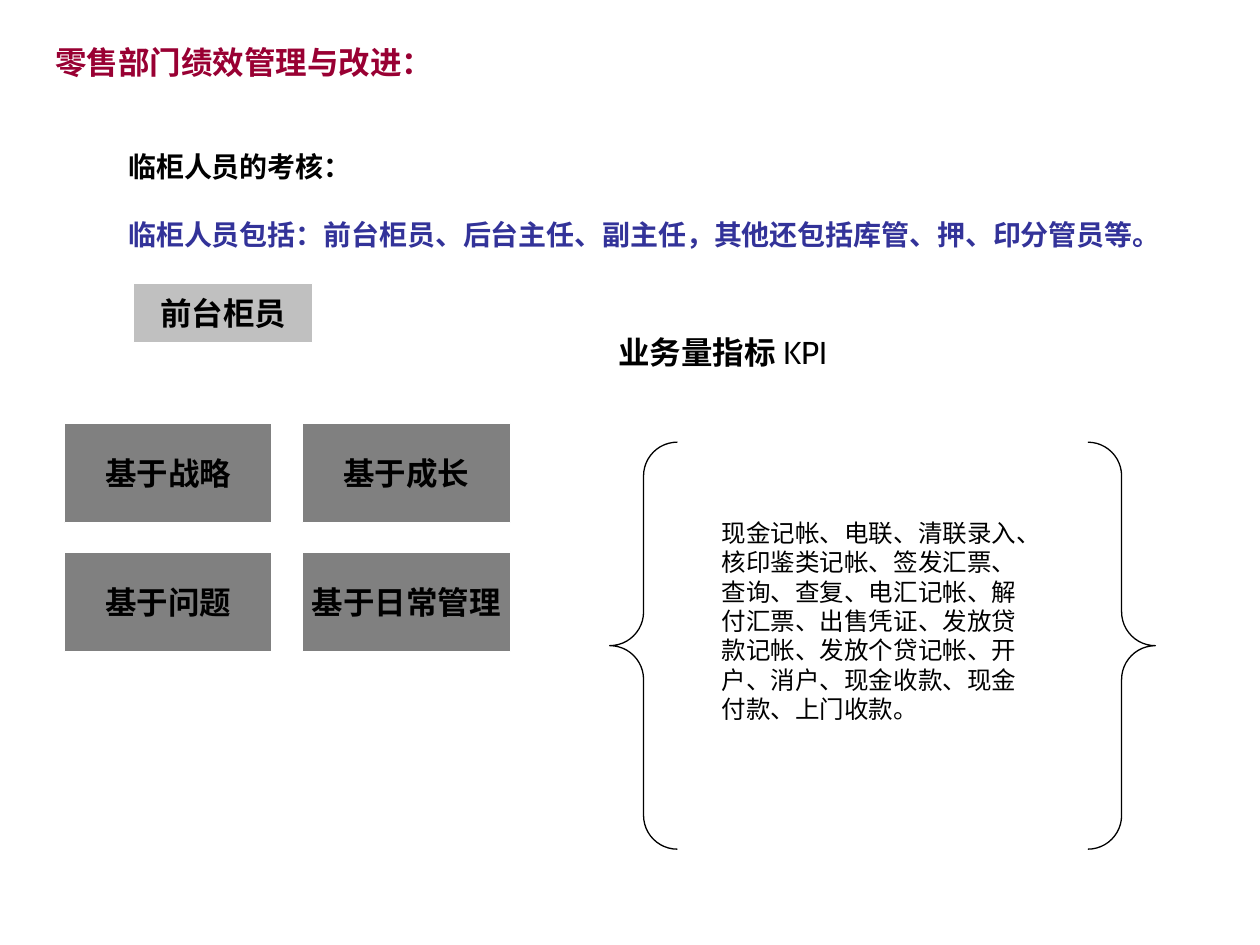
from dataclasses import dataclass
from typing import NamedTuple

import pptx
import pptx.dml.color
import pptx.enum.shapes
import pptx.enum.text
import pptx.util

CELL = pptx.util.Inches(0.1)  # the slide is a grid of 100 columns by 75 rows
COLUMNS, ROWS = 100, 75


@dataclass(frozen=True)
class Theme:
    font: str = "Arial"
    accent_font: str = "Cabin"
    heading: str = "990033"
    highlight: str = "333399"
    ink: str = "000000"
    paper: str = "FFFFFF"
    role_fill: str = "C0C0C0"
    basis_fill: str = "808080"
    large: int = 18
    medium: int = 16
    small: int = 14
    outline: float = 0.75


THEME = Theme()


class Area(NamedTuple):
    col: float
    row: float
    cols: float
    rows: float

    def emu(self) -> list[int]:
        return [round(cells * CELL) for cells in self]


class Card(NamedTuple):
    label: str
    area: Area
    fill: str


def rgb(value: str) -> pptx.dml.color.RGBColor:
    return pptx.dml.color.RGBColor.from_string(value)


def write(paragraph, text: str, *, size: float = THEME.large, color: str = THEME.ink,
          bold: bool = True, font: str = THEME.font, centred: bool = False,
          before: float = 0) -> None:
    """Add a formatted run to a paragraph."""
    align = pptx.enum.text.PP_ALIGN
    paragraph.alignment = align.CENTER if centred else align.LEFT
    if before:
        paragraph.space_before = pptx.util.Pt(before)
    run = paragraph.add_run()
    run.text = text
    run.font.name = font
    run.font.size = pptx.util.Pt(size)
    run.font.bold = bold
    run.font.color.rgb = rgb(color)


def add_text_frame(slide, area: Area):
    frame = slide.shapes.add_textbox(*area.emu()).text_frame
    frame.word_wrap = False
    frame.auto_size = pptx.enum.text.MSO_AUTO_SIZE.SHAPE_TO_FIT_TEXT
    return frame


def add_outlined(slide, kind, area: Area, line: str):
    shape = slide.shapes.add_shape(kind, *area.emu())
    shape.shadow.inherit = False
    shape.line.color.rgb = rgb(line)
    shape.line.width = pptx.util.Pt(THEME.outline)
    return shape


def add_card(slide, card: Card) -> None:
    box = add_outlined(slide, pptx.enum.shapes.MSO_SHAPE.RECTANGLE, card.area, THEME.paper)
    box.fill.solid()
    box.fill.fore_color.rgb = rgb(card.fill)
    box.text_frame.word_wrap = False
    box.text_frame.vertical_anchor = pptx.enum.text.MSO_ANCHOR.MIDDLE
    write(box.text_frame.paragraphs[0], card.label, centred=True)


BASES = [["基于战略", "基于成长"], ["基于问题", "基于日常管理"]]
DUTIES = [
    "现金记帐、电联、清联录入、",
    "核印鉴类记帐、签发汇票、",
    "查询、查复、电汇记帐、解",
    "付汇票、出售凭证、发放贷",
    "款记帐、发放个贷记帐、开",
    "户、消户、现金收款、现金",
    "付款、上门收款。",
]


def main() -> None:
    deck = pptx.Presentation()
    deck.slide_width, deck.slide_height = COLUMNS * CELL, ROWS * CELL
    slide = deck.slides.add_slide(deck.slide_layouts[6])

    # Title and introduction
    title = add_text_frame(slide, Area(3.4, 2.9, 32, 4))
    write(title.paragraphs[0], "零售部门绩效管理与改进：", color=THEME.heading)
    intro = add_text_frame(slide, Area(9.2, 11.4, 84, 11.7))
    write(intro.paragraphs[0], "临柜人员的考核：", size=THEME.medium)
    write(intro.add_paragraph(),
          "临柜人员包括：前台柜员、后台主任、副主任，其他还包括库管、押、印分管员等。",
          size=THEME.medium, color=THEME.highlight, before=19.4)

    # Role, with the four bases of its appraisal in a two by two grid
    add_card(slide, Card("前台柜员", Area(10.6, 22.5, 14.2, 4.7), THEME.role_fill))
    for row, labels in enumerate(BASES):
        for col, label in enumerate(labels):
            area = Area(5.1 + 18.9 * col, 33.6 + 10.2 * row, 16.5, 7.9)
            add_card(slide, Card(label, area, THEME.basis_fill))

    # Indicator heading
    indicator = add_text_frame(slide, Area(48.1, 25.9, 19.6, 4)).paragraphs[0]
    write(indicator, "业务量指标 ")
    write(indicator, "KPI", bold=False, font=THEME.accent_font)

    # Braces around the counted duties
    braces = add_outlined(slide, pptx.enum.shapes.MSO_SHAPE.DOUBLE_BRACE,
                          Area(48.4, 35.1, 43.3, 32.3), THEME.ink)
    braces.fill.background()
    braces.adjustments[0] = 0.083
    duties = add_text_frame(slide, Area(56.3, 40.6, 27.3, 17.4))
    for index, line in enumerate(DUTIES):
        paragraph = duties.add_paragraph() if index else duties.paragraphs[0]
        write(paragraph, line, size=THEME.small, bold=False)

    deck.save("out.pptx")


if __name__ == "__main__":
    main()
